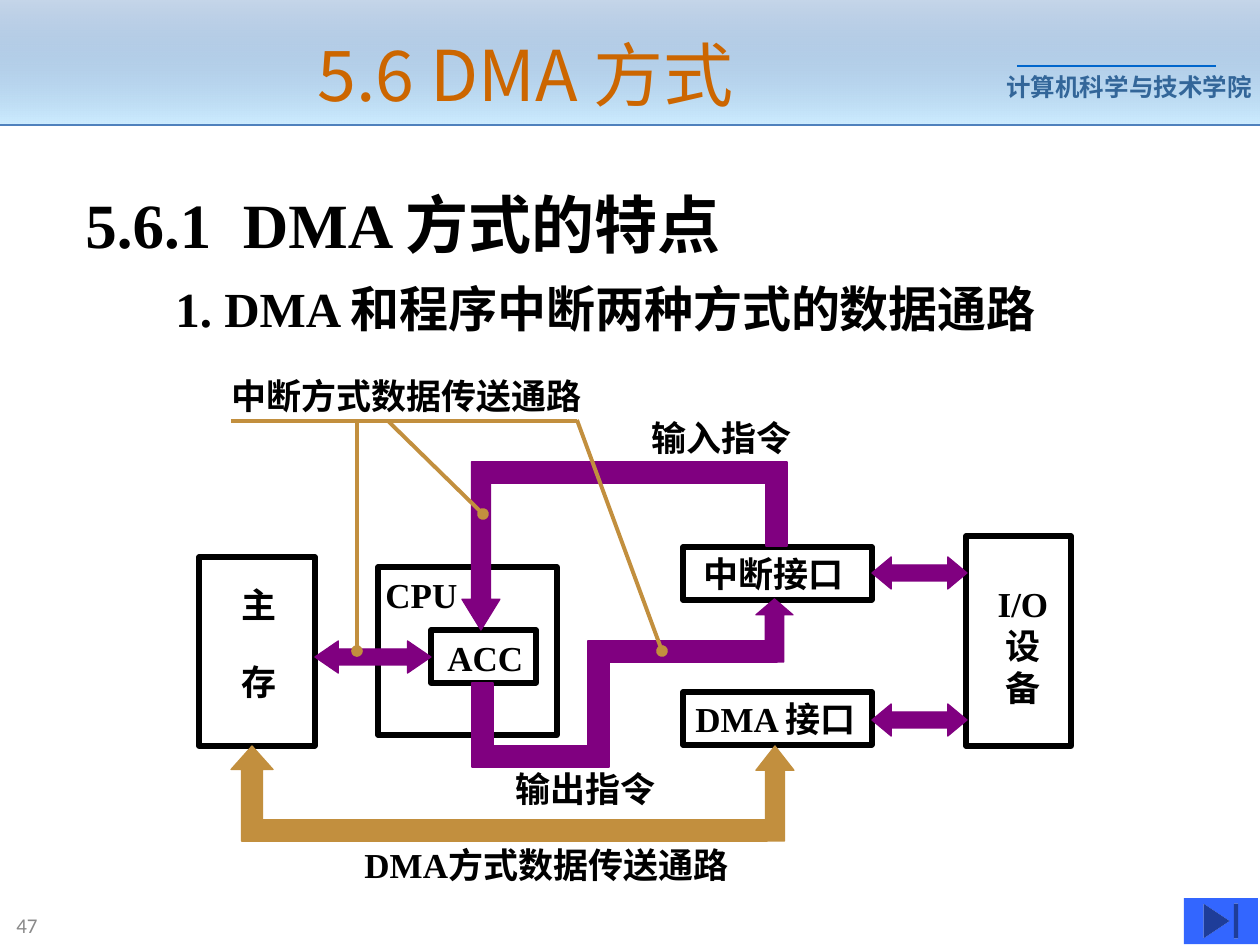
from lxml import etree
from pptx import Presentation
from pptx import util as u
from pptx.dml.color import RGBColor
from pptx.enum import shapes, text
from pptx.oxml import ns

PX = 914400 / 126
KIND = shapes.MSO_SHAPE
BLACK, PURPLE, GOLD = "000000", "800080", "C28F3E"
CJK = "Noto Sans CJK SC"


def color(value):
    return RGBColor.from_string(value)


def write(shape, lines, size, hue=BLACK, name="Times New Roman", bold=True,
          align="LEFT", anchor="TOP", wrap=False, gap=0):
    frame = shape.text_frame
    frame_format = {"word_wrap": wrap, "auto_size": text.MSO_AUTO_SIZE.NONE,
                    "vertical_anchor": getattr(text.MSO_ANCHOR, anchor)}
    for key, value in frame_format.items():
        setattr(frame, key, value)
    for index, line in enumerate(lines):
        paragraph = frame.add_paragraph() if index else frame.paragraphs[0]
        paragraph.alignment = getattr(text.PP_ALIGN, align)
        if index and gap:
            paragraph.space_before = u.Pt(gap)
        run = paragraph.add_run()
        run.text = line
        for key, value in {"size": u.Pt(size), "name": name, "bold": bold}.items():
            setattr(run.font, key, value)
        run.font.color.rgb = color(hue)
        east_asian = etree.SubElement(run.font._element, ns.qn("a:ea"))
        east_asian.set("typeface", CJK)


presentation = Presentation()
presentation.slide_width = round(1260 * PX)
presentation.slide_height = round(945 * PX)
slide = presentation.slides.add_slide(presentation.slide_layouts[5])

# Header band, fading from translucent blue
band = slide.shapes.add_shape(KIND.RECTANGLE, 0, 0, round(1260 * PX), round(125 * PX))
band.shadow.inherit = False
band.line.fill.background()
band.fill.gradient()
band.fill.gradient_angle = 270
for stop, (position, hue) in zip(band.fill.gradient_stops, [(0, "4F81BD"), (1, "CCECFF")]):
    stop.position = position
    stop.color.rgb = color(hue)
first_color = band._element.spPr.find(".//" + ns.qn("a:srgbClr"))
etree.SubElement(first_color, ns.qn("a:alpha")).set("val", "32000")

# Title
title = slide.shapes.title
for key, value in {"left": 94, "top": 21, "width": 863, "height": 105}.items():
    setattr(title, key, round(value * PX))
write(title, ["5.6 DMA 方式"], 40, "CC6600", CJK, False, "CENTER", "MIDDLE", True)
slide.shapes._spTree.append(title._element)

# Frames of the units: left, top, width, height
frames = [
    (378, 567, 179, 168),   # CPU
    (199, 557, 116, 189),   # main memory
    (431, 630, 105, 53),    # ACC
    (683, 547, 189, 53),    # interrupt interface
    (683, 692, 189, 53),    # DMA interface
    (966, 536, 105, 210),   # I/O devices
]
for frame_box in frames:
    shape = slide.shapes.add_shape(KIND.RECTANGLE, *[round(v * PX) for v in frame_box])
    shape.shadow.inherit = False
    shape.fill.background()
    shape.line.color.rgb = color(BLACK)
    shape.line.width = u.Pt(3)

# Data paths: kind, hue, box, arrowhead length
paths = [
    (KIND.RECTANGLE, PURPLE, (472, 683, 21, 73), None),
    (KIND.RECTANGLE, PURPLE, (472, 746, 126, 21), None),
    (KIND.RECTANGLE, PURPLE, (588, 651, 21, 116), None),
    (KIND.RECTANGLE, PURPLE, (588, 641, 189, 21), None),
    (KIND.UP_ARROW, PURPLE, (756, 599, 37, 63), 0.43),
    (KIND.RECTANGLE, PURPLE, (766, 473, 21, 73), None),
    (KIND.RECTANGLE, PURPLE, (472, 462, 315, 21), None),
    (KIND.DOWN_ARROW, PURPLE, (462, 462, 38, 168), 0.81),
    (KIND.LEFT_RIGHT_ARROW, PURPLE, (315, 641, 116, 32), 0.73),
    (KIND.LEFT_RIGHT_ARROW, PURPLE, (872, 557, 95, 32), 0.6),
    (KIND.LEFT_RIGHT_ARROW, PURPLE, (872, 704, 95, 32), 0.6),
    (KIND.UP_ARROW, GOLD, (231, 746, 42, 95), 0.56),
    (KIND.RECTANGLE, GOLD, (242, 820, 525, 21), None),
    (KIND.UP_ARROW, GOLD, (756, 746, 38, 95), 0.64),
]
for kind, hue, box, head in paths:
    shape = slide.shapes.add_shape(kind, *[round(v * PX) for v in box])
    shape.shadow.inherit = False
    shape.fill.solid()
    shape.fill.fore_color.rgb = color(hue)
    shape.line.color.rgb = color(hue)
    shape.line.width = u.Pt(0.75)
    if head:
        shape.adjustments[0] = 0.5
        shape.adjustments[1] = head

# Header rules and callout lines: ends, hue, width, dot at the end
lines = [
    ((1017, 66, 1216, 66), "0066CC", 0.75, False),
    ((0, 125, 1260, 125), "4F81BD", 1.5, False),
    ((231, 421, 577, 421), GOLD, 2.25, False),
    ((357, 421, 357, 651), GOLD, 2.25, True),
    ((388, 421, 483, 514), GOLD, 2.25, True),
    ((577, 420, 662, 651), GOLD, 2.25, True),
]
for ends, hue, width, dotted in lines:
    connector = slide.shapes.add_connector(
        shapes.MSO_CONNECTOR.STRAIGHT, *[round(v * PX) for v in ends])
    connector.line.color.rgb = color(hue)
    connector.line.width = u.Pt(width)
    if dotted:
        etree.SubElement(connector.line._get_or_add_ln(), ns.qn("a:tailEnd")).set("type", "oval")
    etree.SubElement(connector._element.spPr, ns.qn("a:effectLst"))

# Headings and labels: box, lines, size, other formats
labels = [
    ((73, 179, 703, 88), ["5.6.1  DMA 方式的特点"], 36, {"wrap": True}),
    ((163, 272, 900, 72), ["1. DMA 和程序中断两种方式的数据通路"], 28, {}),
    ((373, 567, 157, 55), ["CPU"], 20, {"wrap": True}),
    ((229, 577, 60, 139), ["主", "存"], 20, {"gap": 20}),
    ((435, 630, 101, 53), ["ACC"], 20, {}),
    ((691, 546, 165, 55), ["中断接口"], 20, {}),
    ((683, 691, 197, 55), ["DMA 接口"], 20, {}),
    ((985, 576, 76, 139), ["I/O", "设", "备"], 20, {"align": "CENTER"}),
    ((219, 368, 375, 55), ["中断方式数据传送通路"], 20, {}),
    ((639, 410, 165, 55), ["输入指令"], 20, {}),
    ((503, 761, 165, 55), ["输出指令"], 20, {}),
    ((352, 837, 398, 55), ["DMA方式数据传送通路"], 20, {}),
    ((994, 66, 266, 43), ["计算机科学与技术学院"], 14,
     {"hue": "336699", "name": "Arial"}),
    ((4, 905, 278, 40), ["47"], 12,
     {"hue": "898989", "name": "Calibri", "bold": False, "anchor": "MIDDLE", "wrap": True}),
]
for box, label_lines, size, formats in labels:
    label = slide.shapes.add_textbox(*[round(v * PX) for v in box])
    write(label, label_lines, size, **formats)

# Button to the last slide
button = slide.shapes.add_shape(
    KIND.ACTION_BUTTON_END, *[round(v * PX) for v in (1184, 898, 74, 46)])
button.shadow.inherit = False
button.fill.solid()
button.fill.fore_color.rgb = color("3366FF")
button.line.fill.background()

presentation.save("out.pptx")
